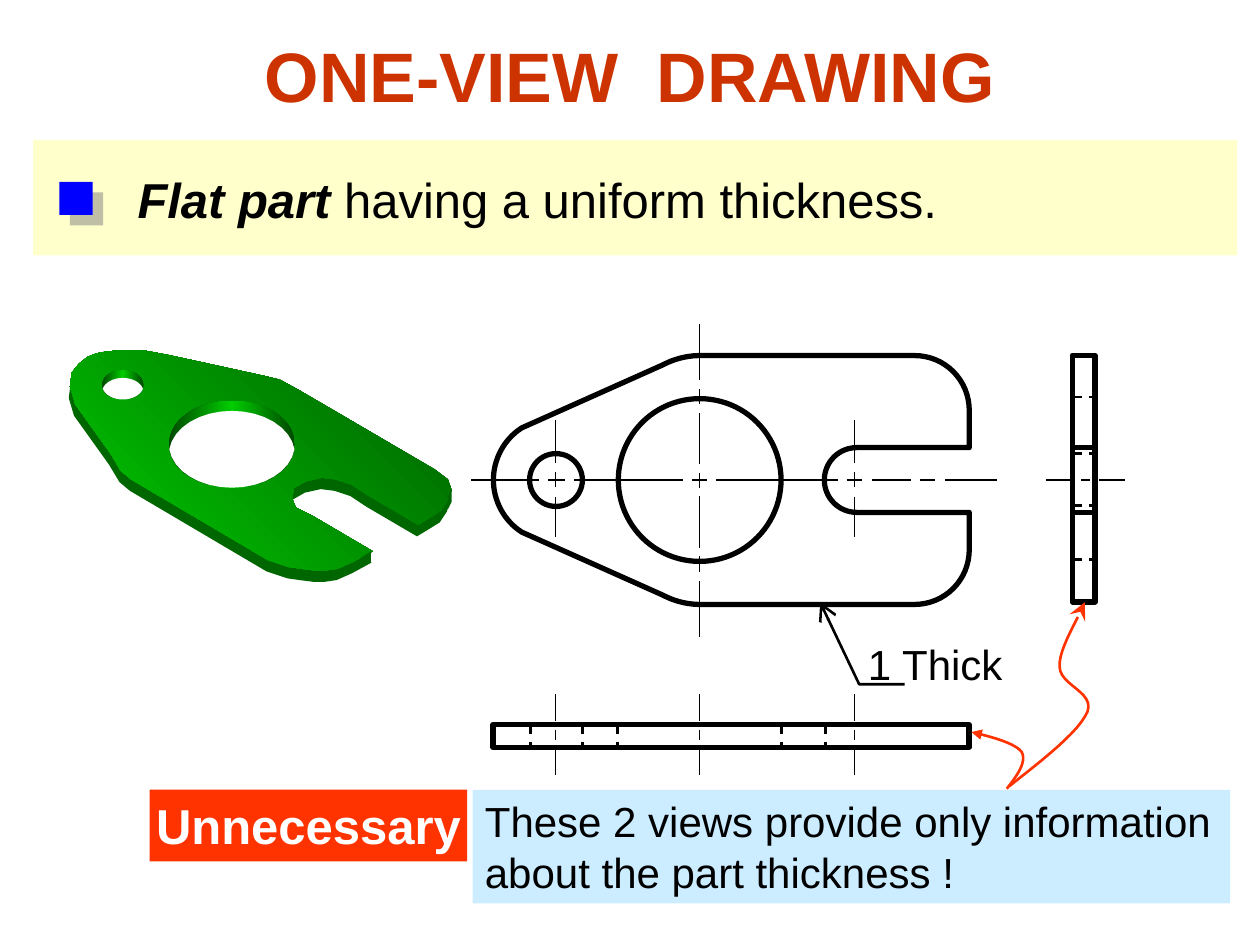
"""Build a slide that explains the one-view drawing of a flat part."""
import math

from pptx import Presentation, oxml, util as u
from pptx.dml.color import RGBColor
from pptx.enum import dml, shapes, text
from pptx.oxml import ns

COLORS = {
    "title": "CC3300", "band": "FFFFCC", "bullet": "0000FF", "ink": "000000",
    "paper": "FFFFFF", "edge": "006600", "dark": "005E00", "light": "00CC00",
    "hole": "004900", "alert": "FF3300", "note": "CCECFF", "shade": "808080",
}
AXIS_Y = 274.3
HOLE_X, BORE_X, SLOT_X = 317.5, 399.6, 488.2
PLATE_TOP = [
    (213, 315), (202, 321), (193, 325), (186, 326), (180, 326), (172, 325),
    (165, 324), (153, 320), (75, 274), (69, 269), (63, 259), (43, 231),
    (40, 221), (41, 213), (45, 208), (50, 204), (55, 202), (60, 201),
    (70, 200), (81, 200), (97, 203), (152, 215), (160, 217), (171, 223),
    (248, 268), (256, 274), (258, 280), (256, 286), (252, 292), (244, 297),
    (239, 300), (210, 283), (201, 277), (192, 274), (184, 273), (175, 275),
    (168, 279), (167, 285), (169, 290), (179, 295),
]


def rgb(name):
    """Return the named colour."""
    return RGBColor.from_string(COLORS[name])


def points(*values):
    """Turn numbers of points into lengths."""
    return [u.Pt(value) for value in values]


def style(shape, fill=None, line=None, width=3):
    """Set the fill and line of a shape and drop its shadow."""
    shape.shadow.inherit = False
    if fill:
        shape.fill.solid()
        shape.fill.fore_color.rgb = rgb(fill)
    else:
        shape.fill.background()
    if line:
        shape.line.color.rgb = rgb(line)
        shape.line.width = u.Pt(width)
    else:
        shape.line.fill.background()
    return shape


def add_preset(slide, kind, box, **look):
    """Add a styled rectangle or ellipse."""
    return style(slide.shapes.add_shape(kind, *points(*box)), **look)


def add_outline(slide, vertices, closed=True, head=None, size="lg", **look):
    """Add a freeform through the vertices, with an arrowhead if named."""
    start, *others = [points(*vertex) for vertex in vertices]
    builder = slide.shapes.build_freeform(*start)
    builder.add_line_segments(others, close=closed)
    shape = style(builder.convert_to_shape(), **look)
    if head:
        end = oxml.parse_xml(f'<a:tailEnd {ns.nsdecls("a")} type="{head}" '
                             f'w="{size}" len="{size}"/>')
        shape.line._get_or_add_ln().append(end)
    return shape


def add_line(slide, start, end, width=0.75, dashed=False):
    """Add a straight black line."""
    line = slide.shapes.add_connector(
        shapes.MSO_CONNECTOR.STRAIGHT, *points(*start, *end))
    line.line.color.rgb = rgb("ink")
    line.line.width = u.Pt(width)
    if dashed:
        line.line.dash_style = dml.MSO_LINE.DASH
    line._element.spPr.append(oxml.parse_xml(f'<a:effectLst {ns.nsdecls("a")}/>'))


def add_center_line(slide, spans, x=None, y=None):
    """Add the strokes of a vertical centre line at x or a horizontal one at y."""
    for first, last in spans:
        if y is None:
            add_line(slide, (x, first), (x, last))
        else:
            add_line(slide, (first, y), (last, y))


def set_gradient(shape, names, angle):
    """Fill a shape with evenly spaced colours, at a clockwise angle."""
    shape.fill.gradient()
    stops = "".join(
        f'<a:gs pos="{100000 * index // (len(names) - 1)}">'
        f'<a:srgbClr val="{COLORS[name]}"/></a:gs>'
        for index, name in enumerate(names))
    gradient = oxml.parse_xml(
        f'<a:gradFill {ns.nsdecls("a")}><a:gsLst>{stops}</a:gsLst>'
        f'<a:lin ang="{angle * 60000}" scaled="0"/></a:gradFill>')
    properties = shape._element.spPr
    properties.replace(properties.find(ns.qn("a:gradFill")), gradient)


def add_text(slide, box, words, size=24, color="ink", fill=None, bold=False,
             italic=False, tail="", align=text.PP_ALIGN.LEFT, wrap=False, inset=7.2):
    """Add a text box, with an optional plain tail after the words."""
    shape = style(slide.shapes.add_textbox(*points(*box)), fill=fill)
    frame = shape.text_frame
    frame.word_wrap = wrap
    frame.auto_size = text.MSO_AUTO_SIZE.SHAPE_TO_FIT_TEXT
    frame.margin_left = frame.margin_right = u.Pt(inset)
    paragraph = frame.paragraphs[0]
    paragraph.alignment = align
    paragraph.text = words
    marked = len(paragraph.runs)
    if tail:
        paragraph.add_run().text = tail
    for index, run in enumerate(paragraph.runs):
        run.font.name, run.font.size = "Arial", u.Pt(size)
        run.font.color.rgb = rgb(color)
        run.font.bold = bold and index < marked
        run.font.italic = italic and index < marked


def arc(x, y, radius, start, end, steps=16):
    """Return points on an arc; degrees run clockwise from the right."""
    angles = [math.radians(start + (end - start) * i / steps) for i in range(steps + 1)]
    return [(x + radius * math.cos(a), y + radius * math.sin(a)) for a in angles]


def curve(controls, steps=12):
    """Return points along a chain of cubic curves."""
    result = [controls[0]]
    for first in range(0, len(controls) - 1, 3):
        for step in range(1, steps + 1):
            t = step / steps
            weights = [(1 - t) ** 3, 3 * t * (1 - t) ** 2, 3 * t * t * (1 - t), t ** 3]
            pairs = list(zip(weights, controls[first:first + 4]))
            result.append(tuple(sum(w * p[axis] for w, p in pairs) for axis in (0, 1)))
    return result


def add_hole(slide, left, top, width, height, depth):
    """Add a hole with a shaded wall and the opening seen through it."""
    wall = add_preset(slide, shapes.MSO_SHAPE.OVAL, (left, top, width, height))
    set_gradient(wall, ["hole", "light", "hole"], 180)
    x, y = left + width / 2, top + height / 2
    start = math.degrees(math.asin(depth / height))

    def rim(center, first, last):
        """Return part of the elliptical rim around a centre height."""
        return [(x + px * width / 2, center + py * height / 2)
                for px, py in arc(0, 0, 1, first, last)]

    opening = rim(y + depth, 180 + start, 360 - start) + rim(y, start, 180 - start)
    add_outline(slide, opening, fill="paper")


def add_solid_part(slide):
    """Add the green solid view of the plate."""
    add_outline(slide, [(x - 0.7, y + 6.5) for x, y in PLATE_TOP], fill="edge")
    set_gradient(add_outline(slide, PLATE_TOP), ["dark", "light"], 135)
    add_outline(slide, [(258, 280), (258, 287), (256, 291), (256, 284)], fill="edge")
    add_outline(slide, [(212, 315), (212, 321), (209, 323), (206, 319)], fill="edge")
    add_hole(slide, 58.3, 211.7, 23.8, 16.6, 4.3)
    add_hole(slide, 96.5, 229, 72, 49.7, 5.8)


def add_front_view(slide):
    """Add the front view with its centre lines."""
    upper = (arc(HOLE_X, AXIS_Y, 35.5, 180, 237) + arc(400.3, 249.2, 46, 242, 270)
             + arc(522.7, 234.4, 31.2, 270, 360) + [(553.9, 255.8)]
             + arc(489.6, AXIS_Y, 18.5, 270, 180))
    lower = [(x, 2 * AXIS_Y - y) for x, y in reversed(upper)]
    add_outline(slide, upper + lower[1:-1], line="ink")
    for x, radius in ((BORE_X, 46.5), (HOLE_X, 15.1)):
        box = (x + 0.2 - radius, AXIS_Y - radius, 2 * radius, 2 * radius)
        add_preset(slide, shapes.MSO_SHAPE.OVAL, box, line="ink")
    for x in (HOLE_X, SLOT_X):
        add_center_line(slide, [(240, 264.6), (269.6, 278.3), (284, 307)], x=x)
    add_center_line(slide, [
        (185, 217.4), (222.5, 231), (236, 265), (270, 278.6), (283.7, 313),
        (318, 327), (332, 364.3)], x=BORE_X)
    add_center_line(slide, [
        (269.3, 308), (313.2, 322.6), (328.3, 390.2), (395.3, 404), (409, 478.8),
        (483.8, 492.5), (498.2, 520.6), (525.6, 534.2), (540, 569.5)], y=AXIS_Y)


def add_thin_views(slide):
    """Add the top and side views that show only the thickness."""
    add_preset(slide, shapes.MSO_SHAPE.RECTANGLE, (281.7, 414, 272, 13), line="ink")
    for x in (303, 332.8, 353, 446.5, 471.6):
        add_line(slide, (x, 413.5), (x, 427.5), 1.5, True)
    for x in (HOLE_X, BORE_X, SLOT_X):
        add_center_line(slide, [(396.7, 412), (417, 422.6), (427.7, 442.8)], x=x)
    add_preset(slide, shapes.MSO_SHAPE.RECTANGLE, (612.7, 203, 13, 141), line="ink")
    for y in (255.6, 293):
        add_line(slide, (613.4, y), (625.7, y), 3)
    for y in (226.8, 259.2, 288.7, 319.7):
        add_line(slide, (612, y), (626.4, y), 1.5, True)
    add_center_line(slide, [(597.6, 612), (617.8, 622.8), (627.8, 643)], y=AXIS_Y)


def add_bullet(slide):
    """Add the blue square with its offset shadow."""
    square = add_preset(slide, shapes.MSO_SHAPE.RECTANGLE,
                        (34, 103.9, 19, 19), fill="bullet")
    square._element.spPr.find(ns.qn("a:effectLst")).append(oxml.parse_xml(
        f'<a:outerShdw {ns.nsdecls("a")} dist="{u.Pt(8.5)}" dir="2700000" algn="ctr" '
        f'rotWithShape="0"><a:srgbClr val="{COLORS["shade"]}">'
        '<a:alpha val="50000"/></a:srgbClr></a:outerShdw>'))


def main():
    """Build and save the slide."""
    presentation = Presentation()
    presentation.slide_width, presentation.slide_height = points(720, 540)
    slide = presentation.slides.add_slide(presentation.slide_layouts[6])
    center = text.PP_ALIGN.CENTER
    add_preset(slide, shapes.MSO_SHAPE.RECTANGLE, (19, 80, 688, 66), fill="band")
    add_text(slide, (0, 14.8, 720, 55.4), "ONE-VIEW  DRAWING", size=40,
             color="title", bold=True, align=center, wrap=True)
    add_text(slide, (71.5, 93.3, 500, 41), "Flat part", size=28, bold=True,
             italic=True, tail=" having a uniform thickness.", wrap=True)
    add_bullet(slide)
    add_solid_part(slide)
    add_thin_views(slide)
    add_front_view(slide)
    add_text(slide, (85.5, 451.3, 181.5, 41), "Unnecessary", size=28,
             color="paper", fill="alert", bold=True, align=center, inset=3.6)
    add_text(slide, (270, 451.3, 433, 65), "These 2 views provide only information\n"
             "about the part thickness !", fill="note", wrap=True)
    to_top = [(575.3, 450.7), (581, 443.5), (586.8, 435.6), (583.9, 429.8),
              (580.3, 424.8), (567.4, 421.2), (555.1, 418.3)]
    to_side = [(576.7, 449.3), (596.9, 433.4), (616.3, 418.3), (621.4, 406.8),
               (625.7, 395.3), (605.5, 391.7), (605.5, 380.9),
               (604.8, 370.8), (617, 352.1), (619.9, 344.2)]
    for controls, head, size in ((to_top, "triangle", "med"), (to_side, "stealth", "lg")):
        add_outline(slide, curve(controls), False, head, size, line="alert", width=1.5)
    add_text(slide, (488.9, 361.4, 91.4, 36), "1 Thick")
    add_outline(slide, [(517, 391), (491, 391), (468.7, 344.2)], False, "arrow",
                line="ink", width=1.5)
    presentation.save("out.pptx")


if __name__ == "__main__":
    main()
